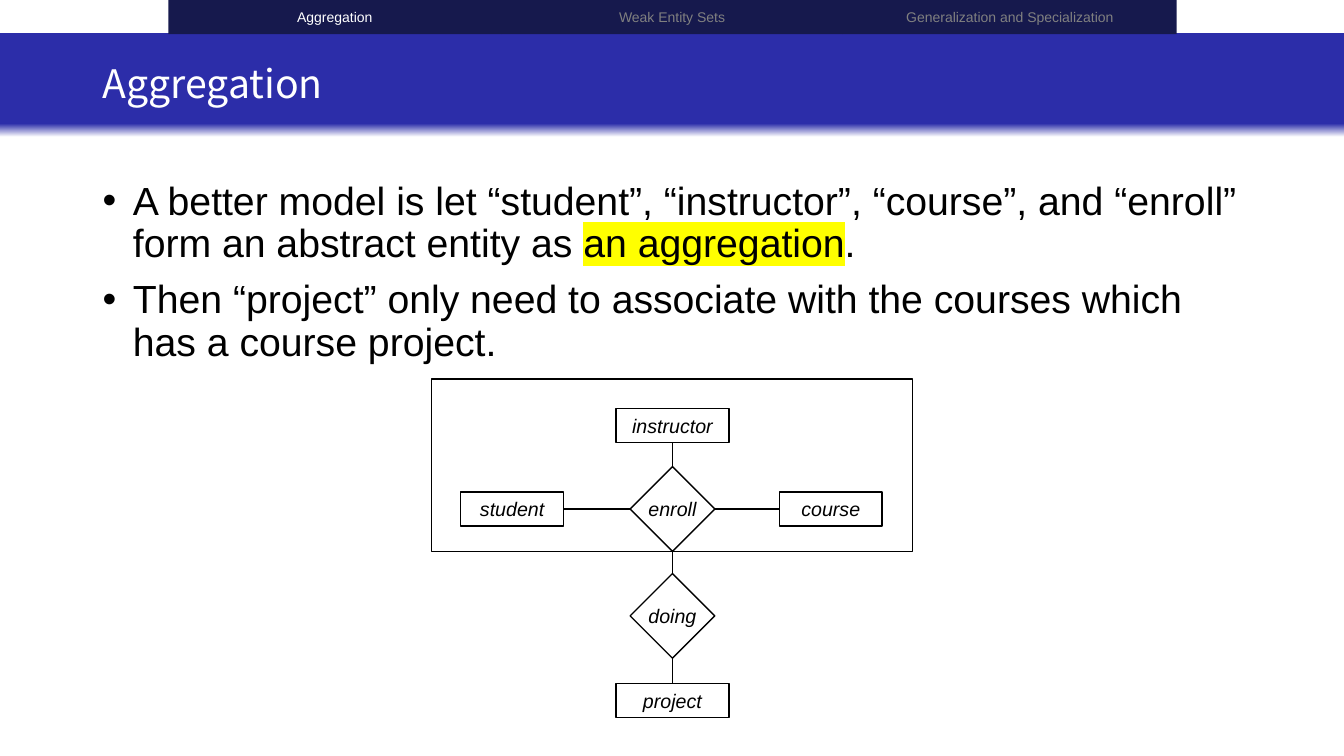
from dataclasses import dataclass

from lxml import etree
from pptx import Presentation
from pptx import util as u
from pptx.dml.color import RGBColor
from pptx.enum import shapes, text
from pptx.oxml import ns

PX = 9144
FONT = "Arial"
BLACK = "000000"
WHITE = "FFFFFF"
GRAY = "808080"
BLUE = "2C2DA9"
NAVY = "16194D"
YELLOW = "FFFF00"
TOP, LEFT, BOTTOM, RIGHT = range(4)
RECTANGLE = shapes.MSO_SHAPE.RECTANGLE
DIAMOND = shapes.MSO_SHAPE.DIAMOND


@dataclass
class Box:
    left: int
    top: int
    width: int
    height: int

    def emu(self) -> list:
        return [u.Emu(v * PX) for v in (self.left, self.top, self.width, self.height)]


@dataclass
class Tab:
    label: str
    left: int
    width: int
    color: str


@dataclass
class Node:
    label: str
    kind: int
    center_x: int
    center_y: int
    width: int
    height: int

    def box(self) -> Box:
        return Box(self.center_x - self.width // 2, self.center_y - self.height // 2,
                   self.width, self.height)


@dataclass
class Link:
    start: str
    start_side: int
    end: str
    end_side: int


TABS = [
    Tab("Aggregation", 167, 330, WHITE),
    Tab("Weak Entity Sets", 497, 339, GRAY),
    Tab("Generalization and Specialization", 836, 331, GRAY),
]
BULLETS = [
    [("A better model is let “student”, “instructor”, “course”, and “enroll” "
      "form an abstract entity as ", False), ("an aggregation", True), (".", False)],
    [("Then “project” only need to associate with the courses which "
      "has a course project.", False)],
]
AXIS = 667
NODES = [
    Node("instructor", RECTANGLE, AXIS, 422, 112, 34),
    Node("student", RECTANGLE, 508, 505, 102, 34),
    Node("enroll", DIAMOND, AXIS, 505, 84, 84),
    Node("course", RECTANGLE, 824, 505, 102, 34),
    Node("doing", DIAMOND, AXIS, 611, 84, 84),
    Node("project", RECTANGLE, AXIS, 695, 112, 34),
]
LINKS = [
    Link("enroll", TOP, "instructor", BOTTOM),
    Link("student", RIGHT, "enroll", LEFT),
    Link("enroll", RIGHT, "course", LEFT),
    Link("enroll", BOTTOM, "doing", TOP),
    Link("doing", BOTTOM, "project", TOP),
]


def rgb(color: str) -> RGBColor:
    return RGBColor.from_string(color)


def set_font(paragraph, size: int, color: str, name: str = FONT, italic: bool = False) -> None:
    font = paragraph.font
    font.name = name
    font.size = u.Pt(size)
    font.italic = italic
    font.color.rgb = rgb(color)


def add_shape(slide, kind: int, box: Box, fill: str = "", line: str = ""):
    shape = slide.shapes.add_shape(kind, *box.emu())
    shape.shadow.inherit = False
    if fill:
        shape.fill.solid()
        shape.fill.fore_color.rgb = rgb(fill)
    else:
        shape.fill.background()
    if line:
        shape.line.color.rgb = rgb(line)
        shape.line.width = u.Pt(1)
    else:
        shape.line.fill.background()
    return shape


def add_label(shape, label: str, size: int, color: str, italic: bool = False) -> None:
    frame = shape.text_frame
    frame.word_wrap = False
    frame.margin_left = frame.margin_right = frame.margin_top = frame.margin_bottom = 0
    frame.vertical_anchor = text.MSO_ANCHOR.MIDDLE
    paragraph = frame.paragraphs[0]
    paragraph.text = label
    paragraph.alignment = text.PP_ALIGN.CENTER
    set_font(paragraph, size, color, italic=italic)


def add_title(slide) -> None:
    band = add_shape(slide, RECTANGLE, Box(0, 33, 1333, 103))
    band.fill.gradient()
    band.fill.gradient_angle = 90
    for stop, position, color in zip(band.fill.gradient_stops, (0, 0.13), (WHITE, BLUE)):
        stop.position = position
        stop.color.rgb = rgb(color)
    title = slide.shapes.title
    title._element.addprevious(band._element)
    title.left, title.top, title.width, title.height = Box(92, 39, 1150, 92).emu()
    frame = title.text_frame
    frame.text = "Aggregation"
    frame.auto_size = text.MSO_AUTO_SIZE.NONE
    frame.vertical_anchor = text.MSO_ANCHOR.MIDDLE
    paragraph = frame.paragraphs[0]
    paragraph.alignment = text.PP_ALIGN.LEFT
    paragraph.line_spacing = 0.9
    set_font(paragraph, 28, WHITE, "Noto Sans CJK SC")


def add_bullets(slide) -> None:
    frame = slide.shapes.add_textbox(*Box(92, 175, 1150, 343).emu()).text_frame
    frame.word_wrap = True
    for index, parts in enumerate(BULLETS):
        paragraph = frame.add_paragraph() if index else frame.paragraphs[0]
        properties = paragraph._p.get_or_add_pPr()
        properties.set("marL", str(30 * PX))
        properties.set("indent", str(-30 * PX))
        etree.SubElement(properties, ns.qn("a:buFont"), typeface=FONT)
        etree.SubElement(properties, ns.qn("a:buChar"), char="•")
        paragraph.line_spacing = 0.9
        if index:
            paragraph.space_before = u.Pt(10)
        set_font(paragraph, 28, BLACK)
        for words, marked in parts:
            run = paragraph.add_run()
            run.text = words
            if marked:
                highlight = etree.SubElement(run._r.get_or_add_rPr(), ns.qn("a:highlight"))
                etree.SubElement(highlight, ns.qn("a:srgbClr"), val=YELLOW)


def add_diagram(slide) -> None:
    add_shape(slide, RECTANGLE, Box(428, 376, 477, 171), line=BLACK)
    drawn = {}
    for node in NODES:
        drawn[node.label] = add_shape(slide, node.kind, node.box(), line=BLACK)
        add_label(drawn[node.label], node.label, 14, BLACK, italic=True)
    for link in LINKS:
        connector = slide.shapes.add_connector(shapes.MSO_CONNECTOR.STRAIGHT, 0, 0, 0, 0)
        connector.begin_connect(drawn[link.start], link.start_side)
        connector.end_connect(drawn[link.end], link.end_side)
        connector.line.color.rgb = rgb(BLACK)
        connector.line.width = u.Pt(1.25)
        etree.SubElement(connector._element.spPr, ns.qn("a:effectLst"))


def main() -> None:
    presentation = Presentation()
    presentation.slide_width = u.Emu(1333 * PX)
    presentation.slide_height = u.Emu(750 * PX)
    slide = presentation.slides.add_slide(presentation.slide_layouts[5])
    add_title(slide)
    add_bullets(slide)
    add_diagram(slide)
    for tab in TABS:
        shape = add_shape(slide, RECTANGLE, Box(tab.left, 0, tab.width, 34), fill=NAVY)
        add_label(shape, tab.label, 10, tab.color)
    presentation.save("out.pptx")


if __name__ == "__main__":
    main()
